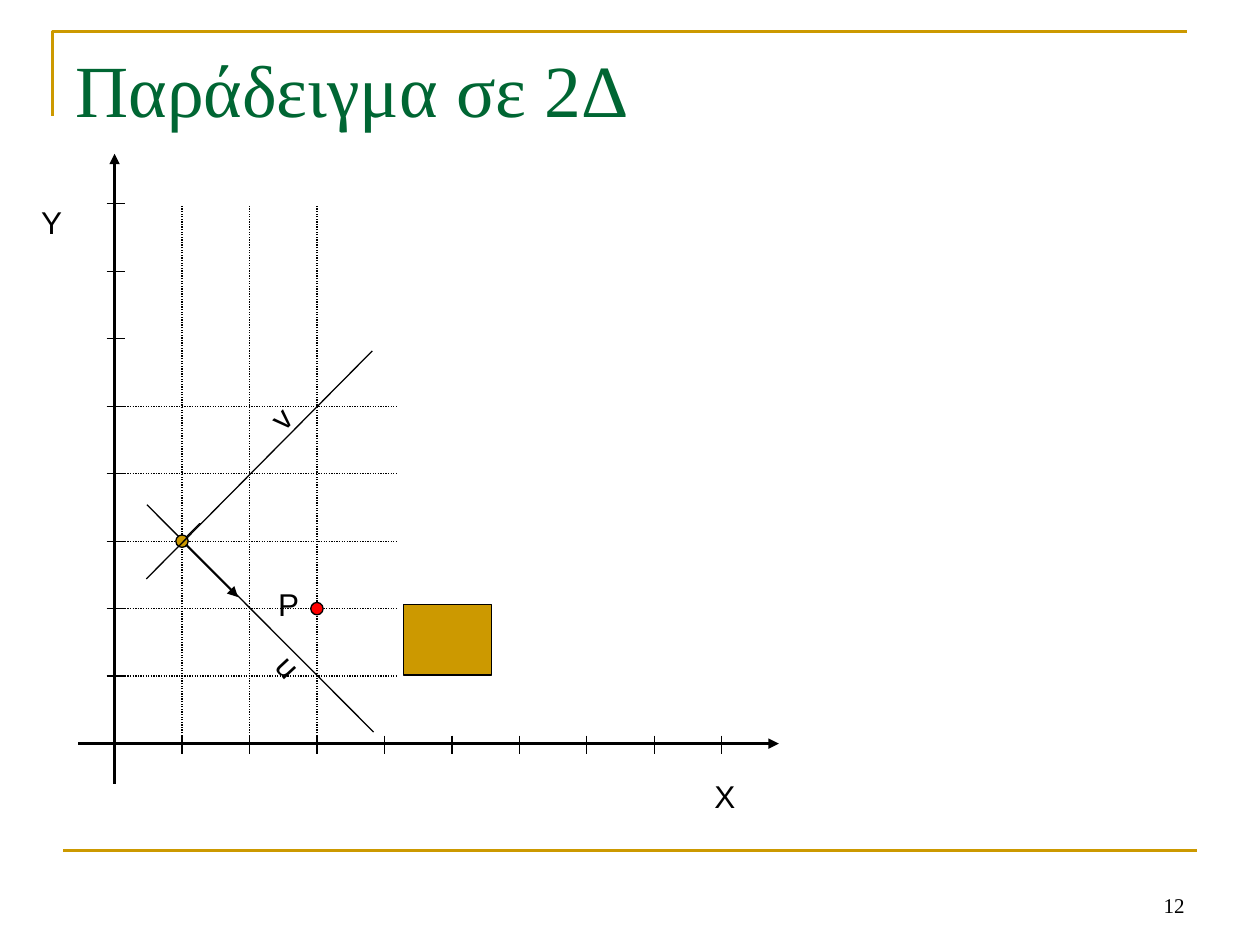
from dataclasses import dataclass

from lxml import etree
from pptx import Presentation
from pptx.dml.color import RGBColor
from pptx.enum.dml import MSO_LINE
from pptx.enum.shapes import MSO_CONNECTOR, MSO_SHAPE
from pptx.enum.text import MSO_ANCHOR, MSO_AUTO_SIZE, PP_ALIGN
from pptx.oxml.ns import qn
from pptx.util import Cm, Pt

STRAIGHT = MSO_CONNECTOR.STRAIGHT
DOTTED = MSO_LINE.ROUND_DOT
OVAL, RECT = MSO_SHAPE.OVAL, MSO_SHAPE.RECTANGLE
TOP, BOTTOM = MSO_ANCHOR.TOP, MSO_ANCHOR.BOTTOM
LEFT, RIGHT = PP_ALIGN.LEFT, PP_ALIGN.RIGHT
FIT_SHAPE, NO_FIT = MSO_AUTO_SIZE.SHAPE_TO_FIT_TEXT, MSO_AUTO_SIZE.NONE

COLORS = {"black": "000000", "white": "FFFFFF", "gold": "CC9900",
          "green": "006633", "red": "FF0000"}
SANS, SERIF = "Arial", "Times New Roman"

# Coordinate system, in cm
ORIGIN_X, ORIGIN_Y, STEP = 2.31, 14.99, 1.36
TICK_BEFORE, TICK_AFTER = 0.16, 0.2


@dataclass
class Line:
    x1: float
    y1: float
    x2: float
    y2: float
    width: float = 0.75
    color: str = "black"
    dotted: bool = False
    arrow: bool = False


@dataclass
class Label:
    text: str
    x: float
    y: float
    rotation: float = 0


@dataclass
class Block:
    kind: int
    x: float
    y: float
    w: float
    h: float
    fill: str
    outlined: bool = True


def rgb(name: str) -> RGBColor:
    return RGBColor.from_string(COLORS[name])


def grid_x(i: float) -> float:
    return ORIGIN_X + i * STEP


def grid_y(j: float) -> float:
    return ORIGIN_Y - j * STEP


def grid_line(i1: float, j1: float, i2: float, j2: float, arrow: bool = False) -> Line:
    return Line(grid_x(i1), grid_y(j1), grid_x(i2), grid_y(j2), arrow=arrow)


def grid_dot(i: float, j: float, fill: str, size: float = 0.25) -> Block:
    return Block(OVAL, grid_x(i) - size / 2, grid_y(j) - size / 2, size, size, fill)


def draw_line(s, line: Line) -> None:
    c = s.shapes.add_connector(STRAIGHT, Cm(line.x1), Cm(line.y1), Cm(line.x2), Cm(line.y2))
    c.line.color.rgb = rgb(line.color)
    c.line.width = Pt(line.width)
    if line.dotted:
        c.line.dash_style = DOTTED
    if line.arrow:
        etree.SubElement(c.line._get_or_add_ln(), qn("a:tailEnd"), type="triangle")
    etree.SubElement(c._element.spPr, qn("a:effectLst"))


def draw_block(s, block: Block) -> None:
    sp = s.shapes.add_shape(block.kind, Cm(block.x), Cm(block.y), Cm(block.w), Cm(block.h))
    sp.shadow.inherit = False
    sp.fill.solid()
    sp.fill.fore_color.rgb = rgb(block.fill)
    if block.outlined:
        sp.line.color.rgb = rgb("black")
        sp.line.width = Pt(0.75)
    else:
        sp.line.fill.background()


def write(sp, text: str, size: float, font: str, color: str, align: int = LEFT) -> None:
    p = sp.text_frame.paragraphs[0]
    p.alignment = align
    r = p.add_run()
    r.text = text
    r.font.size = Pt(size)
    r.font.name = font
    r.font.color.rgb = rgb(color)


def draw_label(s, label: Label) -> None:
    sp = s.shapes.add_textbox(Cm(label.x), Cm(label.y), Cm(0.94), Cm(1.02))
    sp.rotation = label.rotation
    sp.text_frame.word_wrap = False
    sp.text_frame.auto_size = FIT_SHAPE
    write(sp, label.text, 18, SANS, "black")


def draw_frame(s) -> None:
    # Corner rule, bottom rule and page number
    builder = s.shapes.build_freeform(Cm(1.06), Cm(2.33))
    builder.add_line_segments([(Cm(1.06), Cm(0.63)), (Cm(23.92), Cm(0.63))], close=False)
    sp = builder.convert_to_shape()
    sp.shadow.inherit = False
    sp.fill.background()
    sp.line.color.rgb = rgb("gold")
    sp.line.width = Pt(1.5)
    draw_line(s, Line(1.27, 17.15, 24.13, 17.15, 1.5, "gold"))

    sp = s.shapes.add_textbox(Cm(18.2), Cm(17.36), Cm(5.93), Cm(1.27))
    sp.text_frame.word_wrap = True
    sp.text_frame.vertical_anchor = BOTTOM
    write(sp, "12", 12, SERIF, "black", RIGHT)


def draw_title(s) -> None:
    sp = s.shapes.title
    sp.left, sp.top, sp.width, sp.height = Cm(1.27), Cm(0.76), Cm(22.86), Cm(3.18)
    sp.text_frame.vertical_anchor = TOP
    sp.text_frame.auto_size = NO_FIT
    write(sp, "Παράδειγμα σε 2Δ", 42, SERIF, "green")


def draw_axes(s) -> None:
    draw_line(s, Line(ORIGIN_X, 15.8, ORIGIN_X, 3.1, 1.5, arrow=True))
    draw_line(s, Line(1.58, ORIGIN_Y, 15.7, ORIGIN_Y, 1.5, arrow=True))
    for i in range(1, 10):
        x = grid_x(i)
        draw_line(s, Line(x, ORIGIN_Y - TICK_BEFORE, x, ORIGIN_Y + TICK_AFTER))
    for j in range(9):
        y = grid_y(j)
        draw_line(s, Line(ORIGIN_X - TICK_BEFORE, y, ORIGIN_X + TICK_AFTER, y))
    draw_label(s, Label("Χ", 14.15, 15.54))
    draw_label(s, Label("Υ", 0.58, 3.96))

    # Dotted guides
    for i in range(1, 4):
        draw_line(s, Line(grid_x(i), ORIGIN_Y, grid_x(i), 4.15, dotted=True))
    for j in range(1, 6):
        draw_line(s, Line(ORIGIN_X, grid_y(j), 8.0, grid_y(j), dotted=True))


def draw_vectors(s) -> None:
    # Unit vectors and the u axis
    draw_line(s, grid_line(1, 3, 1.86, 3.86, arrow=True))
    draw_line(s, grid_line(1, 3, 1.83, 2.17, arrow=True))
    draw_line(s, grid_line(3.84, 0.17, 0.48, 3.54))
    draw_block(s, grid_dot(1, 3, "gold"))
    draw_label(s, Label("u", 5.38, 12.95, 47.1))
    draw_label(s, Label("v", 5.23, 7.87, 314))

    # Point P
    draw_block(s, grid_dot(3, 2, "red"))
    draw_label(s, Label("P", 5.36, 11.66))

    # The v axis runs over the white patch
    draw_block(s, Block(RECT, 3.86, 9.7, 1.02, 0.84, "white", outlined=False))
    draw_line(s, grid_line(0.47, 2.44, 3.82, 5.82))
    draw_block(s, Block(RECT, 8.13, 12.19, 1.78, 1.42, "gold"))


def main() -> None:
    prs = Presentation()
    prs.slide_width, prs.slide_height = Cm(25.4), Cm(19.05)
    s = prs.slides.add_slide(prs.slide_layouts[5])
    s.background.fill.solid()
    s.background.fill.fore_color.rgb = rgb("white")
    draw_frame(s)
    draw_title(s)
    draw_axes(s)
    draw_vectors(s)
    prs.save("out.pptx")


if __name__ == "__main__":
    main()
